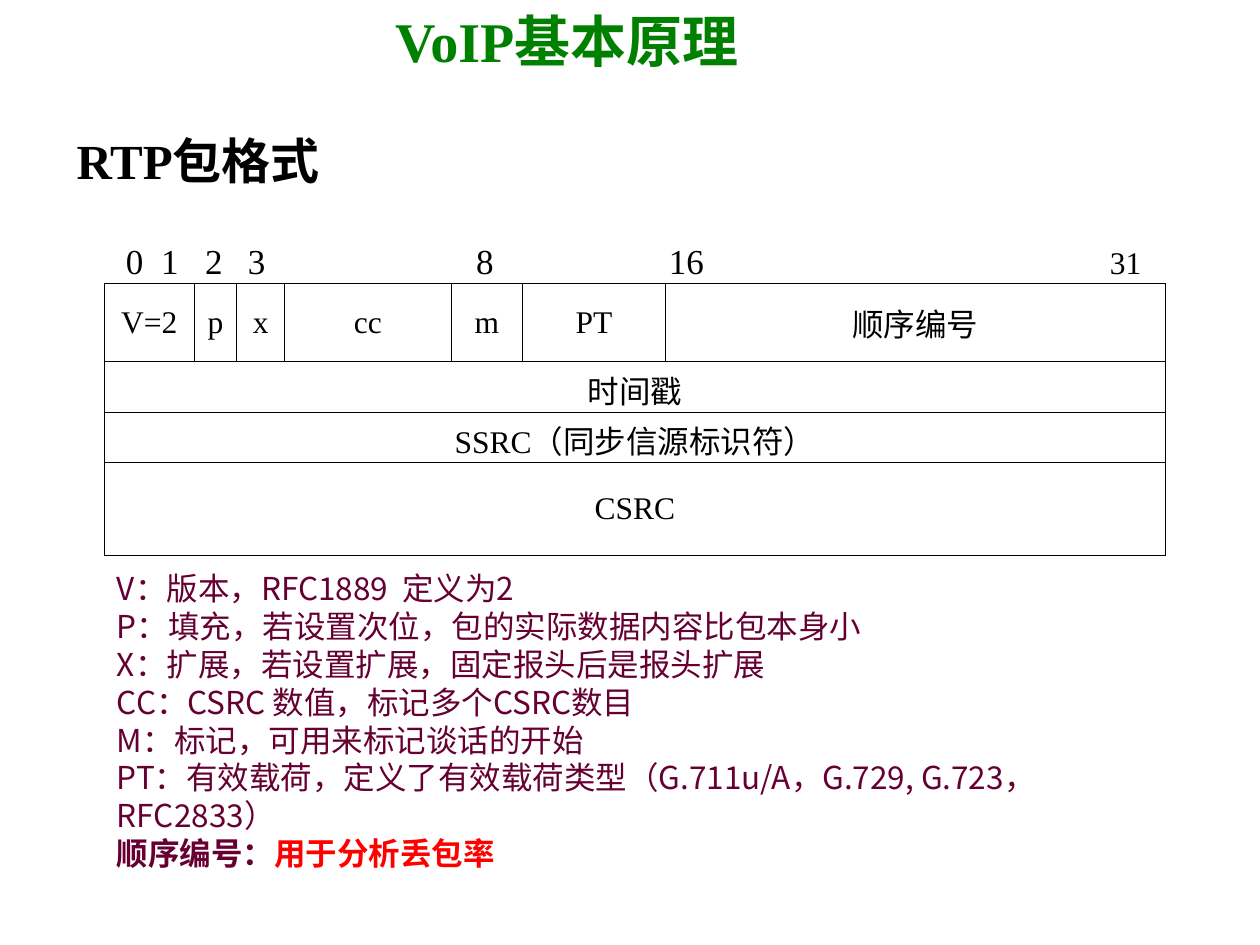
from dataclasses import dataclass

from lxml import etree
from pptx import Presentation
from pptx.dml.color import RGBColor
from pptx.enum.text import MSO_ANCHOR, PP_ALIGN
from pptx.oxml.ns import qn
from pptx.util import Inches, Pt

LEFT, CENTER = PP_ALIGN.LEFT, PP_ALIGN.CENTER
TOP, MIDDLE = MSO_ANCHOR.TOP, MSO_ANCHOR.MIDDLE
TITLE_ONLY = 5


@dataclass(frozen=True)
class Theme:
    serif: str = "Times New Roman"
    sans: str = "Noto Sans CJK SC"
    title_color: str = "008000"
    text_color: str = "000000"
    legend_color: str = "660033"
    accent_color: str = "FF0000"
    title_size: int = 32
    heading_size: int = 28
    ruler_size: int = 20
    body_size: int = 18
    border_width: float = 0.45


THEME = Theme()

# Bit numbers above the packet and their offsets in inches
BITS = {"0": 0, "1": 0.28, "2": 0.63, "3": 0.97, "8": 2.78, "16": 4.31, "31": 7.81}

COLUMN_WIDTHS = [0.71, 0.34, 0.38, 1.32, 0.57, 1.13, 3.97]
ROW_HEIGHTS = [0.62, 0.4, 0.4, 0.74]
HEADER_FIELDS = ["V=2", "p", "x", "cc", "m", "PT", "顺序编号"]
FULL_ROWS = ["时间戳", "SSRC（同步信源标识符）", "CSRC"]

LEGEND = [
    "V：版本，RFC1889  定义为2",
    "P：填充，若设置次位，包的实际数据内容比包本身小",
    "X：扩展，若设置扩展，固定报头后是报头扩展",
    "CC：CSRC 数值，标记多个CSRC数目",
    "M：标记，可用来标记谈话的开始",
    "PT：有效载荷，定义了有效载荷类型（G.711u/A，G.729, G.723，RFC2833）",
]


def write(paragraph, text, *, size=THEME.body_size, font=THEME.serif,
          color=THEME.text_color, bold=False, align=LEFT):
    """Append a formatted run to the paragraph."""
    paragraph.alignment = align
    run = paragraph.add_run()
    run.text = text
    run.font.size = Pt(size)
    run.font.name = font
    run.font.bold = bold
    run.font.color.rgb = RGBColor.from_string(color)
    latin = run.font._element.find(qn("a:latin"))
    latin.addnext(latin.makeelement(qn("a:ea"), {"typeface": THEME.sans}))


def place(shape, left, top, width, height):
    shape.left, shape.top = Inches(left), Inches(top)
    shape.width, shape.height = Inches(width), Inches(height)


def add_text_frame(slide, left, top, width, height, anchor=MIDDLE):
    box = slide.shapes.add_textbox(*map(Inches, (left, top, width, height)))
    box.text_frame.word_wrap = True
    box.text_frame.vertical_anchor = anchor
    return box.text_frame


def add_title(slide, text):
    title = slide.shapes.title
    place(title, 0, 0, 9, 0.69)
    title.text_frame.vertical_anchor = TOP
    write(title.text_frame.paragraphs[0], text, size=THEME.title_size,
          color=THEME.title_color, bold=True, align=CENTER)


def add_heading(slide, text):
    frame = add_text_frame(slide, 0.51, 0.99, 9, 0.7, anchor=TOP)
    write(frame.paragraphs[0], text, size=THEME.heading_size, bold=True)


def add_bit_ruler(slide):
    """Set the bit numbers on tab stops above the packet table."""
    ruler = add_text_frame(slide, 0.9, 1.85, 8.5, 0.44).paragraphs[0]
    tabs = etree.SubElement(ruler._p.get_or_add_pPr(), qn("a:tabLst"))
    last = list(BITS)[-1]
    for bit, offset in BITS.items():
        if offset:
            etree.SubElement(tabs, qn("a:tab"), pos=str(Inches(offset)), algn="l")
        write(ruler, f"\t{bit}" if offset else bit,
              size=THEME.body_size if bit == last else THEME.ruler_size)


def outline(cell):
    properties = cell._tc.get_or_add_tcPr()
    for side in ("lnL", "lnR", "lnT", "lnB"):
        line = etree.SubElement(properties, qn(f"a:{side}"),
                                w=str(Pt(THEME.border_width)))
        fill = etree.SubElement(line, qn("a:solidFill"))
        etree.SubElement(fill, qn("a:srgbClr"), val=THEME.text_color)
    cell.fill.background()


def fill_cell(cell, text):
    cell.vertical_anchor = MIDDLE
    write(cell.text_frame.paragraphs[0], text, align=CENTER)


def add_packet_table(slide):
    rows, columns = len(ROW_HEIGHTS), len(COLUMN_WIDTHS)
    table = slide.shapes.add_table(
        rows, columns, Inches(0.83), Inches(2.25),
        Inches(sum(COLUMN_WIDTHS)), Inches(sum(ROW_HEIGHTS))).table
    table.first_row = table.horz_banding = False
    for column, width in zip(table.columns, COLUMN_WIDTHS):
        column.width = Inches(width)
    for row, height in zip(table.rows, ROW_HEIGHTS):
        row.height = Inches(height)
        for cell in row.cells:
            outline(cell)
            if height == min(ROW_HEIGHTS):  # keeps the line inside a low row
                cell.margin_top, cell.margin_bottom = Inches(0.04), 0
    for column, field in enumerate(HEADER_FIELDS):
        fill_cell(table.cell(0, column), field)
    for row, field in enumerate(FULL_ROWS, start=1):
        table.cell(row, 0).merge(table.cell(row, columns - 1))
        fill_cell(table.cell(row, 0), field)


def add_legend(slide):
    frame = add_text_frame(slide, 0.83, 4.47, 8.58, 2.5)
    style = {"font": THEME.sans, "color": THEME.legend_color}
    paragraph = frame.paragraphs[0]
    for line in LEGEND:
        write(paragraph, line, **style)
        paragraph = frame.add_paragraph()
    write(paragraph, "顺序编号：", bold=True, **style)
    write(paragraph, "用于分析丢包率", bold=True, font=THEME.sans,
          color=THEME.accent_color)


def main():
    presentation = Presentation()
    presentation.slide_width, presentation.slide_height = Inches(10), Inches(7.5)
    slide = presentation.slides.add_slide(presentation.slide_layouts[TITLE_ONLY])
    add_title(slide, "VoIP基本原理")
    add_heading(slide, "RTP包格式")
    add_bit_ruler(slide)
    add_packet_table(slide)
    add_legend(slide)
    presentation.save("out.pptx")


if __name__ == "__main__":
    main()
